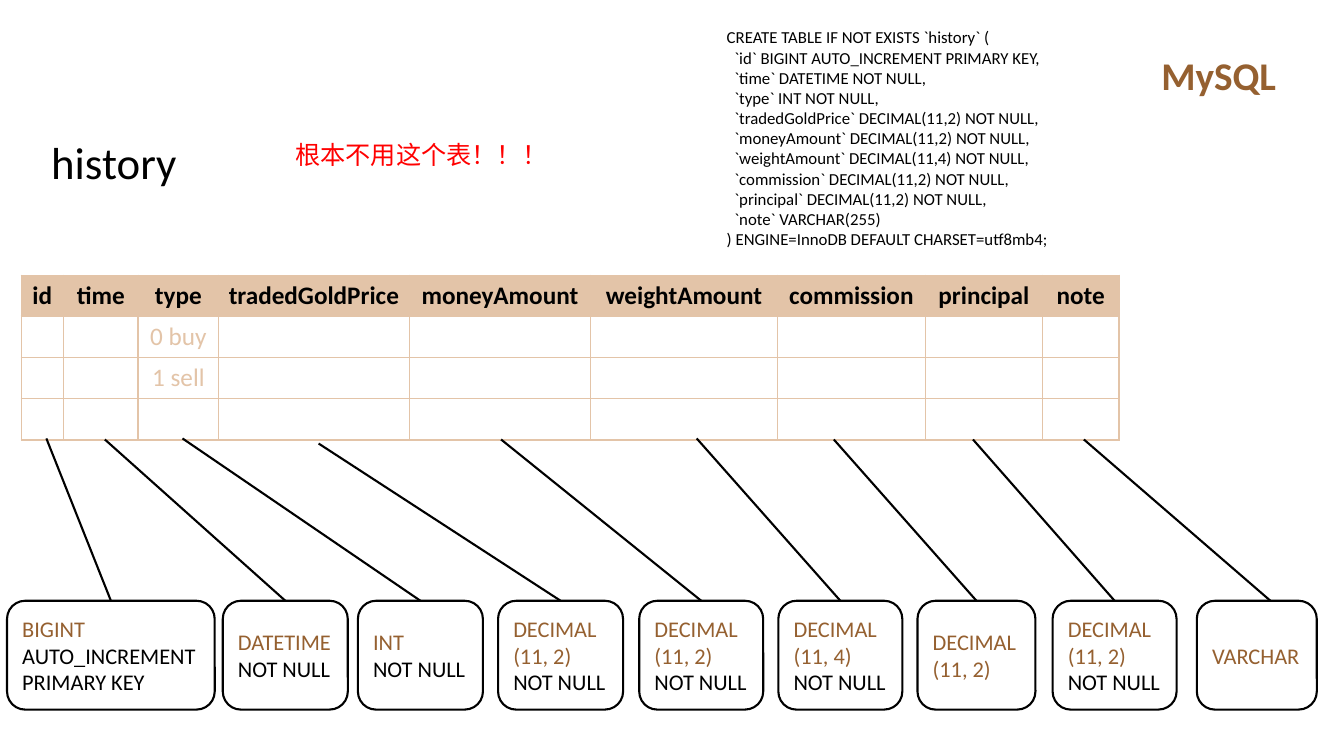
from lxml import etree
from pptx import Presentation
from pptx.dml.color import RGBColor
from pptx.enum.shapes import MSO_CONNECTOR, MSO_SHAPE
from pptx.enum.text import MSO_ANCHOR, PP_ALIGN
from pptx.oxml.ns import qn
from pptx.util import Inches, Pt

STRAIGHT = MSO_CONNECTOR.STRAIGHT
ROUNDED = MSO_SHAPE.ROUNDED_RECTANGLE
MIDDLE = MSO_ANCHOR.MIDDLE
CENTER, LEFT = PP_ALIGN.CENTER, PP_ALIGN.LEFT
FONT = "Calibri"
COLORS = {"black": "000000", "brown": "956030", "sand": "E3C4A8", "red": "FF0000"}

COLUMNS = [
    ("id", 0.42), ("time", 0.74), ("type", 0.8), ("tradedGoldPrice", 1.89),
    ("moneyAmount", 1.8), ("weightAmount", 1.85), ("commission", 1.47),
    ("principal", 1.16), ("note", 0.76),
]
ROW_HEIGHTS = [0.4, 0.41, 0.41, 0.41]
CELL_SIDE_MARGIN = 0.05
TYPE_VALUES = {1: "0 buy", 2: "1 sell"}

TYPE_TOP, TYPE_HEIGHT = 5.96, 1.08
NOTE_LINE_END = 12.6
FIELD_TYPES = [
    (0.07, 2.06, ["BIGINT"], ["AUTO_INCREMENT", "PRIMARY KEY"], (0.46, 4.35)),
    (2.21, 1.24, ["DATETIME"], ["NOT NULL"], (1.04, 4.36)),
    (3.55, 1.24, ["INT"], ["NOT NULL"], (1.81, 4.35)),
    (4.94, 1.24, ["DECIMAL", "(11, 2)"], ["NOT NULL"], (3.16, 4.4)),
    (6.34, 1.23, ["DECIMAL", "(11, 2)"], ["NOT NULL"], (4.97, 4.36)),
    (7.72, 1.23, ["DECIMAL", "(11, 4)"], ["NOT NULL"], (6.91, 4.35)),
    (9.1, 1.17, ["DECIMAL", "(11, 2)"], [], (8.27, 4.36)),
    (10.44, 1.23, ["DECIMAL", "(11, 2)"], ["NOT NULL"], (9.65, 4.36)),
    (11.87, 1.19, ["VARCHAR"], [], (10.75, 4.36)),
]

CREATE_STATEMENT = """CREATE TABLE IF NOT EXISTS `history` (
  `id` BIGINT AUTO_INCREMENT PRIMARY KEY,
  `time` DATETIME NOT NULL,
  `type` INT NOT NULL,
  `tradedGoldPrice` DECIMAL(11,2) NOT NULL,
  `moneyAmount` DECIMAL(11,2) NOT NULL,
  `weightAmount` DECIMAL(11,4) NOT NULL,
  `commission` DECIMAL(11,2) NOT NULL,
  `principal` DECIMAL(11,2) NOT NULL,
  `note` VARCHAR(255)
) ENGINE=InnoDB DEFAULT CHARSET=utf8mb4;"""


def rgb(color):
    return RGBColor.from_string(COLORS[color])


def write_lines(frame, lines, size, bold=False, align=LEFT):
    for index, (text, color) in enumerate(lines):
        paragraph = frame.paragraphs[0] if index == 0 else frame.add_paragraph()
        paragraph.alignment = align
        run = paragraph.add_run()
        run.text = text
        run.font.name = FONT
        run.font.size = Pt(size)
        run.font.bold = bold
        run.font.color.rgb = rgb(color)


def add_text(slide, box, text, size, color, bold=False):
    frame = slide.shapes.add_textbox(*map(Inches, box)).text_frame
    frame.word_wrap = True
    write_lines(frame, [(line, color) for line in text.split("\n")], size, bold)


def add_borders(cell):
    properties = cell._tc.get_or_add_tcPr()
    for side in ("a:lnL", "a:lnR", "a:lnT", "a:lnB"):
        border = etree.SubElement(properties, qn(side), w=str(Pt(1)))
        fill = etree.SubElement(border, qn("a:solidFill"))
        etree.SubElement(fill, qn("a:srgbClr"), val=COLORS["sand"])


def add_history_table(slide, left, top):
    width = sum(column_width for _, column_width in COLUMNS)
    history = slide.shapes.add_table(
        len(ROW_HEIGHTS), len(COLUMNS), Inches(left), Inches(top),
        Inches(width), Inches(sum(ROW_HEIGHTS))).table
    history.horz_banding = False
    for row, height in zip(history.rows, ROW_HEIGHTS):
        row.height = Inches(height)
    for col, (name, column_width) in enumerate(COLUMNS):
        history.columns[col].width = Inches(column_width)
        for row in range(len(ROW_HEIGHTS)):
            cell = history.cell(row, col)
            cell.margin_left = cell.margin_right = Inches(CELL_SIDE_MARGIN)
            add_borders(cell)
            if row == 0:
                cell.fill.solid()
                cell.fill.fore_color.rgb = rgb("sand")
                write_lines(cell.text_frame, [(name, "black")], 18, True, CENTER)
            else:
                cell.fill.background()
                if name == "type" and row in TYPE_VALUES:
                    value = [(TYPE_VALUES[row], "sand")]
                    write_lines(cell.text_frame, value, 18, False, CENTER)


def add_type_box(slide, box, data_type, constraints):
    type_box = slide.shapes.add_shape(ROUNDED, *map(Inches, box))
    type_box.shadow.inherit = False
    type_box.fill.background()
    type_box.line.color.rgb = rgb("black")
    type_box.line.width = Pt(1.5)
    type_box.text_frame.word_wrap = True
    type_box.text_frame.vertical_anchor = MIDDLE
    lines = [(text, "brown") for text in data_type]
    lines += [(text, "black") for text in constraints]
    write_lines(type_box.text_frame, lines, 16)
    return type_box


def add_link(slide, start, end):
    link = slide.shapes.add_connector(STRAIGHT, *map(Inches, (*start, *end)))
    link.line.color.rgb = rgb("black")
    link.line.width = Pt(1.5)
    etree.SubElement(link._element.spPr, qn("a:effectLst"))
    return link


def add_field_types(slide, top, height):
    for left, width, data_type, constraints, start in FIELD_TYPES:
        type_box = add_type_box(slide, (left, top, width, height), data_type, constraints)
        if data_type == ["VARCHAR"]:
            add_link(slide, start, (NOTE_LINE_END, top))
        else:
            link = add_link(slide, start, (left + width / 2, top))
            link.end_connect(type_box, 0)


def main():
    prs = Presentation()
    prs.slide_width, prs.slide_height = Inches(13.33), Inches(7.5)
    slide = prs.slides.add_slide(prs.slide_layouts[6])
    add_history_table(slide, 0.21, 2.73)
    add_text(slide, (0.41, 1.29, 1.53, 0.64), "history", 32, "black")
    add_text(slide, (11.42, 0.46, 1.87, 0.57), "MySQL", 28, "brown", True)
    add_text(slide, (7.11, 0.22, 3.5, 2.32), CREATE_STATEMENT, 12, "black")
    add_text(slide, (2.83, 1.33, 3.06, 0.4), "根本不用这个表！！！", 18, "red")
    add_field_types(slide, TYPE_TOP, TYPE_HEIGHT)
    prs.save("out.pptx")


if __name__ == "__main__":
    main()
